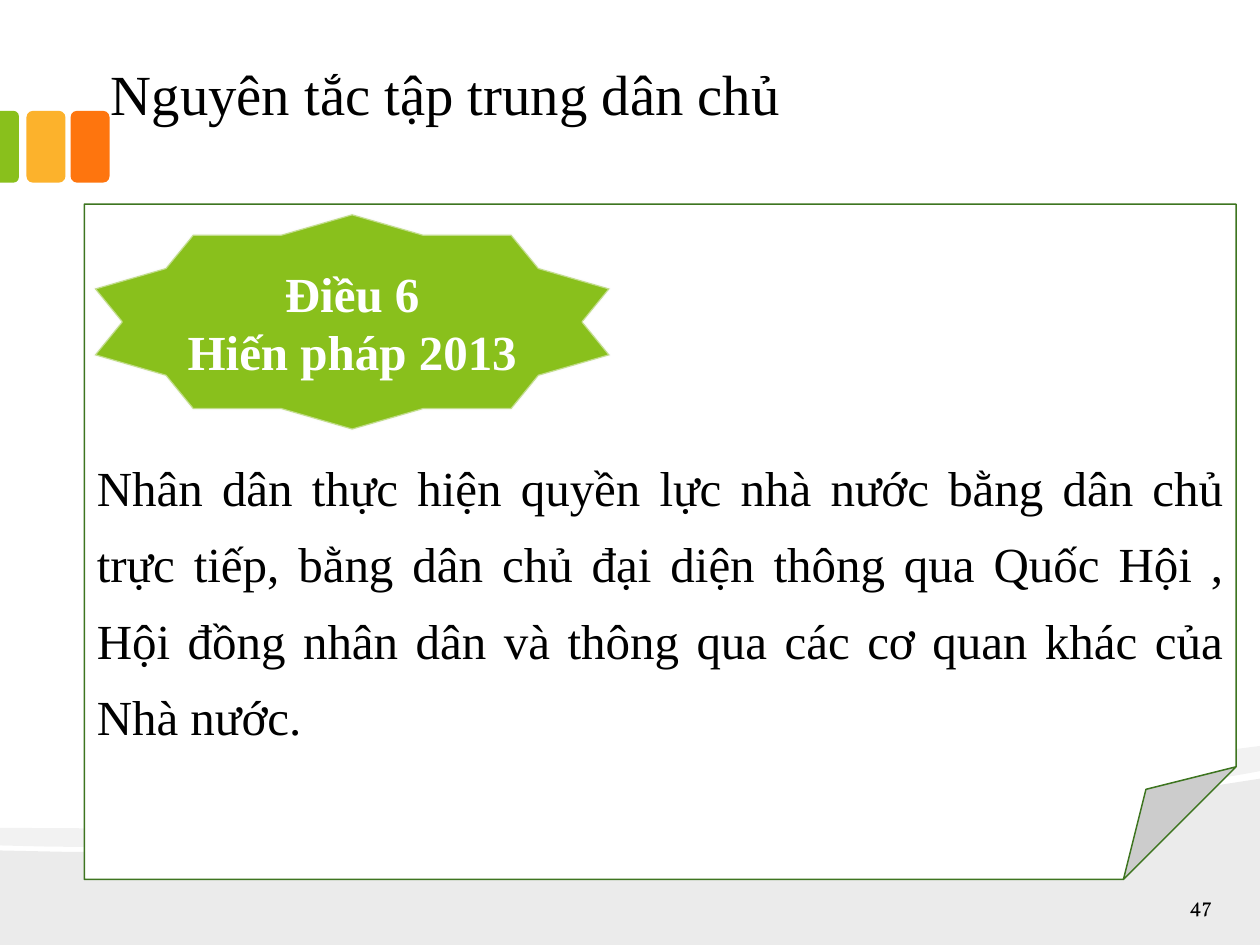
from lxml import etree
from pptx import Presentation
from pptx.dml.color import RGBColor
from pptx.enum import shapes, text
from pptx.oxml.ns import qn
from pptx.util import Inches, Pt

SERIF = "Times New Roman"
KINDS = shapes.MSO_SHAPE
ALIGN = text.PP_ALIGN
ANCHOR = text.MSO_ANCHOR


def colour(target, value, alpha=None):
    """Set a solid fill, with an optional opacity in percent."""
    target.solid()
    target.fore_color.rgb = RGBColor.from_string(value)
    if alpha is not None:
        for node in target._xPr.iter(qn("a:srgbClr")):
            etree.SubElement(node, qn("a:alpha"), val=str(alpha * 1000))


def paint(shape, fill, alpha=None, line=None, width=0, line_alpha=None):
    shape.shadow.inherit = False
    colour(shape.fill, fill, alpha)
    if line:
        shape.line.width = Pt(width)
        colour(shape.line.fill, line, line_alpha)
    else:
        shape.line.fill.background()


def add_shape(page, kind, box):
    return page.shapes.add_shape(kind, *map(Inches, box))


def write(shape, lines, size, font=SERIF, ink="000000", bold=False,
          align=ALIGN.LEFT, anchor=ANCHOR.MIDDLE, insets=(0.1, 0.05, 0.1, 0.05)):
    frame = shape.text_frame
    frame.word_wrap = True
    frame.vertical_anchor = anchor
    (frame.margin_left, frame.margin_top,
     frame.margin_right, frame.margin_bottom) = map(Inches, insets)
    for index, line in enumerate(lines):
        para = frame.add_paragraph() if index else frame.paragraphs[0]
        para.alignment = align
        span = para.add_run()
        span.text = line
        span.font.name = font
        span.font.size = Pt(size)
        span.font.bold = bold
        colour(span.font.fill, ink)
    return frame


def curve(start, first, second, end, steps=16):
    """Points along a cubic curve, without its start."""
    points = []
    for step in range(1, steps + 1):
        t = step / steps
        weights = ((1 - t) ** 3, 3 * t * (1 - t) ** 2, 3 * t * t * (1 - t), t ** 3)
        points.append(tuple(sum(w * p[axis] for w, p in zip(weights, (start, first, second, end)))
                            for axis in (0, 1)))
    return points


def add_wave(page, points, alpha):
    corners = [(Inches(x), Inches(y)) for x, y in points]
    builder = page.shapes.build_freeform(*corners[0])
    builder.add_line_segments(corners[1:], close=True)
    paint(builder.convert_to_shape(), "000000", alpha)


def add_background(page):
    # Ground wave
    ground = [(10, 6.18), (10, 7.5), (0, 7.5), (0, 6.75)]
    add_wave(page, ground + curve((0, 6.75), (2.64, 6.83), (7.82, 6.55), (10, 6.18)), 8)
    # Thin band above it
    band = [(10, 5.92), (10, 6.12)]
    band += curve(band[-1], (9.42, 6.23), (8.62, 6.33), (7.72, 6.41))
    band += curve(band[-1], (5.23, 6.63), (1.93, 6.77), (0, 6.71))
    band += [(0, 6.57)]
    band += curve(band[-1], (4.89, 6.62), (7.28, 6.27), (10, 5.92))
    add_wave(page, band, 5)


def add_tabs(page, left, top, width, height):
    # Two whole tabs, then the one cut by the slide edge
    for offset, fill in ((0.35, "FE750E"), (0, "FCB22C")):
        paint(add_shape(page, KINDS.ROUNDED_RECTANGLE, (left + offset, top, width, height)), fill)
    stub = 0.15
    half = (height - stub) / 2
    edge = add_shape(page, KINDS.ROUND_2_SAME_RECTANGLE, (-half, top + half, height, stub))
    edge.rotation = 90
    edge.adjustments[0] = 0.29
    paint(edge, "89C01C")


def add_label(page, box, line, size, **style):
    label = page.shapes.add_textbox(*map(Inches, box))
    write(label, [line], size, insets=(0.13, 0.07, 0.13, 0.07), **style)


def add_note(page, left, top, width, height):
    # Folded sheet with the article text
    sheet = add_shape(page, KINDS.FOLDED_CORNER, (left, top, width, height))
    paint(sheet, "FFFFFF", line="3E7520", width=0.85)
    article = ("Nhân dân thực hiện quyền lực nhà nước bằng dân chủ trực tiếp, "
               "bằng dân chủ đại diện thông qua Quốc Hội , Hội đồng nhân dân "
               "và thông qua các cơ quan khác của Nhà nước.")
    frame = write(sheet, [article], 28, align=ALIGN.JUSTIFY, anchor=ANCHOR.TOP,
                  insets=(0.1, 1.87, 0.1, 0.05))
    frame.paragraphs[0].line_spacing = 1.3
    # Star badge
    badge = add_shape(page, KINDS.STAR_10_POINT, (left + 0.08, top + 0.08, 4.09, 1.71))
    paint(badge, "89C01C", line="F9F9F9", width=1.35, line_alpha=50)
    write(badge, ["Điều 6", "Hiến pháp 2013"], 28, ink="FFFFFF", bold=True, align=ALIGN.CENTER)


def main():
    deck = Presentation()
    deck.slide_width, deck.slide_height = Inches(10), Inches(7.5)
    page = deck.slides.add_slide(deck.slide_layouts[6])
    add_background(page)
    add_tabs(page, 0.21, 0.88, 0.31, 0.57)
    add_label(page, (0.75, 0.41, 9.13, 0.67), "Nguyên tắc tập trung dân chủ", 32.4,
              anchor=ANCHOR.BOTTOM)
    add_label(page, (9.08, 7.05, 0.67, 0.27), "47", 12, font="Vollkorn", align=ALIGN.RIGHT)
    add_note(page, 0.67, 1.62, 9.14, 5.36)
    deck.save("out.pptx")


if __name__ == "__main__":
    main()
